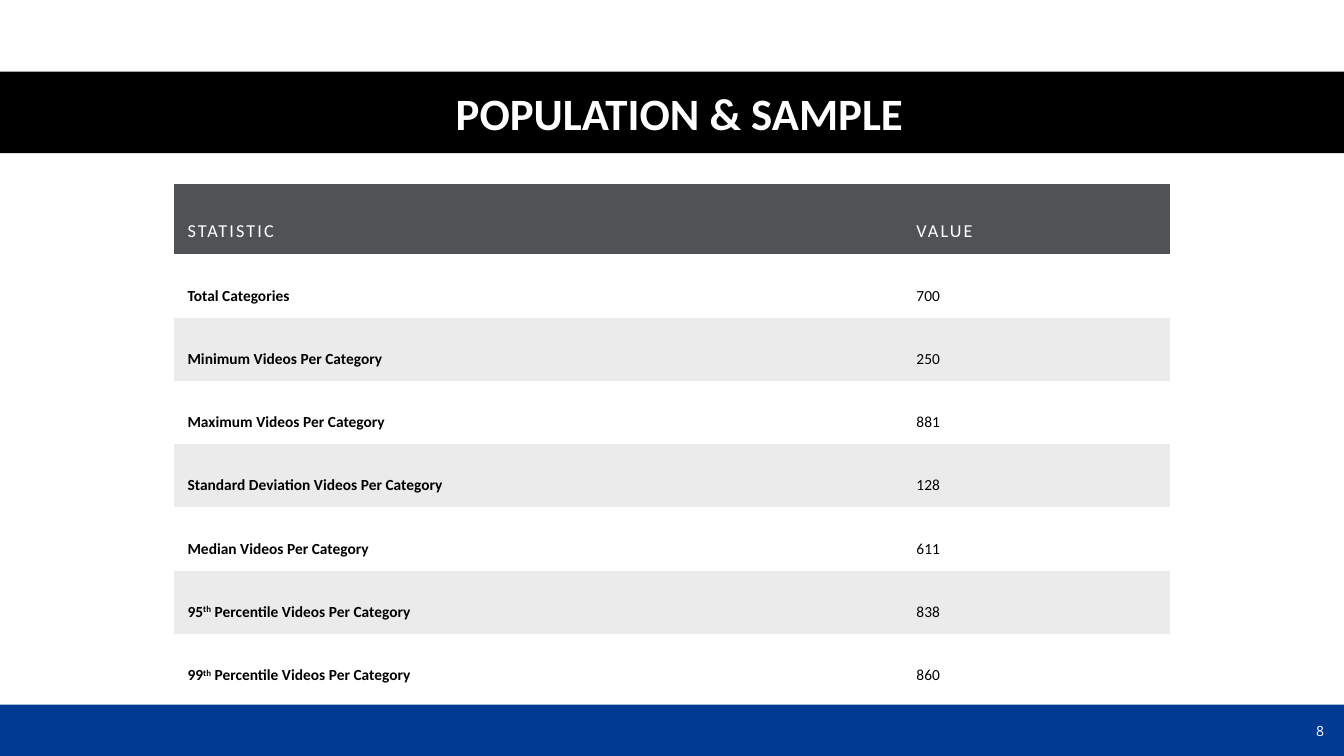
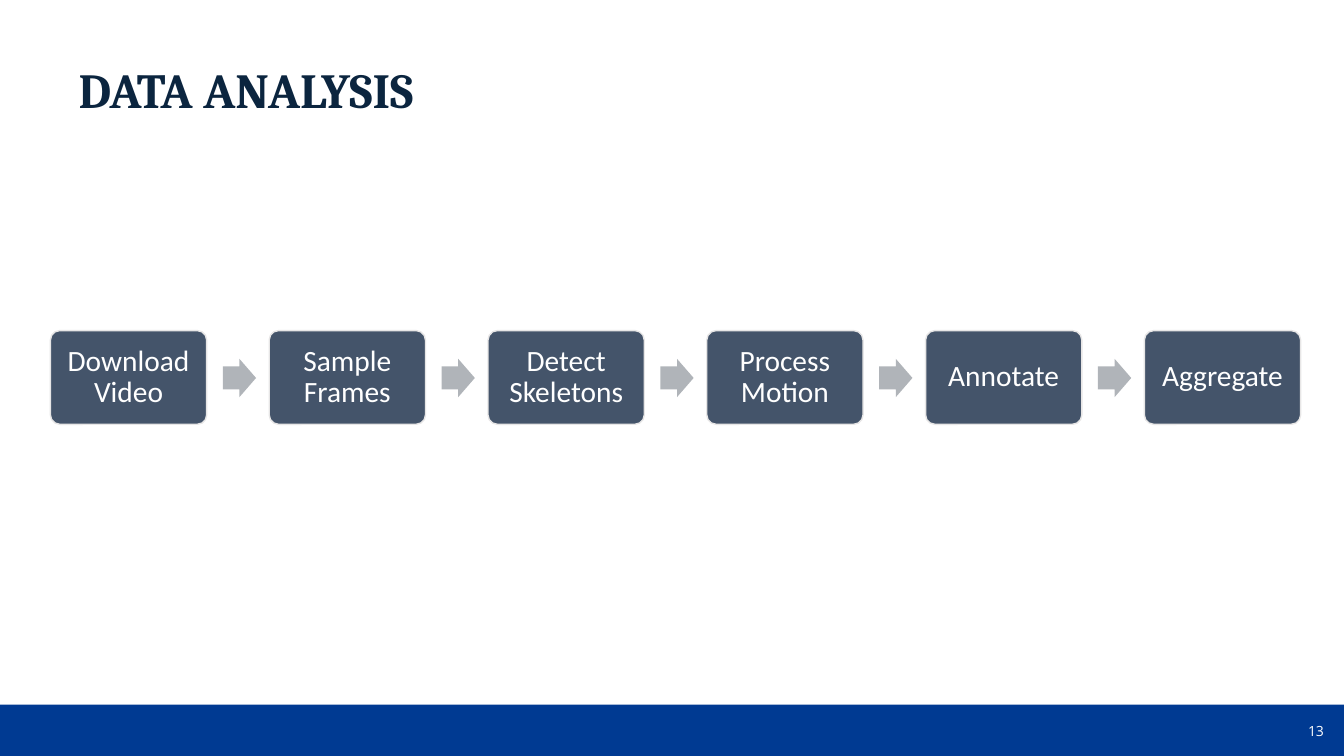
from dataclasses import dataclass

from pptx import Presentation
from pptx.dml.color import RGBColor
from pptx.enum.shapes import MSO_SHAPE
from pptx.enum.text import MSO_ANCHOR, MSO_AUTO_SIZE, PP_ALIGN
from pptx.oxml.ns import qn
from pptx.shapes.autoshape import Shape
from pptx.slide import Slide
from pptx.table import _Cell as Cell
from pptx.text.text import _Run as Run
from pptx.util import Inches, Pt

WHITE = RGBColor(0xFF, 0xFF, 0xFF)
BLACK = RGBColor(0x00, 0x00, 0x00)
FOOTER_BLUE = RGBColor(0x00, 0x3A, 0x92)
TITLE_NAVY = RGBColor(0x0B, 0x25, 0x3F)
HEADER_GRAY = RGBColor(0x50, 0x53, 0x56)
BAND_GRAY = RGBColor(0xEB, 0xEB, 0xEB)
STEP_SLATE = RGBColor(0x44, 0x54, 0x6A)
STEP_EDGE = RGBColor(0xE7, 0xE6, 0xE6)
ARROW_GRAY = RGBColor(0xB0, 0xB4, 0xB9)

BODY_FONT = "Calibri"
SERIF_FONT = "Cambria"
FOOTER_FONT = "Open Sans"

SLIDE_WIDTH, SLIDE_HEIGHT = 13.33, 7.5
TITLE_ONLY_LAYOUT = 5
NO_STYLE_NO_GRID = "{2D5ABB26-0587-4C30-8999-92F81FD0307C}"


@dataclass(frozen=True)
class Box:
    left: float
    top: float
    width: float
    height: float

    def lengths(self) -> tuple[Inches, Inches, Inches, Inches]:
        return Inches(self.left), Inches(self.top), Inches(self.width), Inches(self.height)


@dataclass(frozen=True)
class TitleStyle:
    box: Box
    font: str
    size: float
    color: RGBColor
    align: PP_ALIGN = PP_ALIGN.LEFT
    anchor: MSO_ANCHOR = MSO_ANCHOR.TOP
    band: RGBColor | None = None
    margin_left: float = 0.1
    margin_right: float = 0.1


@dataclass(frozen=True)
class Statistic:
    """A table row; percentile is the ordinal number set before the label."""
    label: str
    value: str
    percentile: str = ""


FOOTER_BOX = Box(0, 6.99, SLIDE_WIDTH, 0.51)
PAGE_NUMBER_BOX = Box(11.47, 7.12, 1.76, 0.28)

BANDED_TITLE = TitleStyle(
    Box(0, 0.71, SLIDE_WIDTH, 0.81), BODY_FONT, 32, WHITE, PP_ALIGN.CENTER,
    MSO_ANCHOR.MIDDLE, BLACK, margin_left=0.71, margin_right=0.56)
PLAIN_TITLE = TitleStyle(Box(0.68, 0.54, 12.21, 0.69), SERIF_FONT, 35, TITLE_NAVY)

TABLE_BOX = Box(1.73, 1.83, 9.87, 4.79)
COLUMN_WIDTHS = (7.23, 2.64)
HEADER_HEIGHT, ROW_HEIGHT = 0.66, 0.59
CELL_MARGIN = 0.13
HEADINGS = ("STATISTIC", "VALUE")
STATISTICS = (
    Statistic("Total Categories", "700"),
    Statistic("Minimum Videos Per Category", "250"),
    Statistic("Maximum Videos Per Category", "881"),
    Statistic("Standard Deviation Videos Per Category", "128"),
    Statistic("Median Videos Per Category", "611"),
    Statistic(" Percentile Videos Per Category", "838", "95"),
    Statistic(" Percentile Videos Per Category", "860", "99"),
)

STEPS = ("Download Video", "Sample Frames", "Detect Skeletons",
         "Process Motion", "Annotate", "Aggregate")
FIRST_STEP = Box(0.5, 3.28, 1.55, 0.93)
STEP_PITCH = 2.17
FIRST_ARROW = Box(2.21, 3.56, 0.33, 0.38)


def style_run(run: Run, font: str, size: float, color: RGBColor, bold: bool = False) -> None:
    run.font.name = font
    run.font.size = Pt(size)
    run.font.color.rgb = color
    run.font.bold = bold


def add_filled_shape(slide: Slide, preset: MSO_SHAPE, box: Box, color: RGBColor) -> Shape:
    shape = slide.shapes.add_shape(preset, *box.lengths())
    shape.shadow.inherit = False
    shape.fill.solid()
    shape.fill.fore_color.rgb = color
    shape.line.fill.background()
    return shape


def set_title(slide: Slide, text: str, style: TitleStyle) -> None:
    title = slide.shapes.title
    title.left, title.top, title.width, title.height = style.box.lengths()
    if style.band is not None:
        title.fill.solid()
        title.fill.fore_color.rgb = style.band
    frame = title.text_frame
    frame.text = text
    frame.word_wrap = True
    frame.auto_size = MSO_AUTO_SIZE.NONE
    frame.vertical_anchor = style.anchor
    frame.margin_left = Inches(style.margin_left)
    frame.margin_right = Inches(style.margin_right)
    paragraph = frame.paragraphs[0]
    paragraph.alignment = style.align
    style_run(paragraph.runs[0], style.font, style.size, style.color, bold=True)


def add_footer(slide: Slide, page: int) -> None:
    add_filled_shape(slide, MSO_SHAPE.RECTANGLE, FOOTER_BOX, FOOTER_BLUE)
    frame = slide.shapes.add_textbox(*PAGE_NUMBER_BOX.lengths()).text_frame
    frame.word_wrap = True
    frame.text = str(page)
    paragraph = frame.paragraphs[0]
    paragraph.alignment = PP_ALIGN.RIGHT
    style_run(paragraph.runs[0], FOOTER_FONT, 10, WHITE)


def add_titled_slide(deck: Presentation, title: str, style: TitleStyle, page: int) -> Slide:
    slide = deck.slides.add_slide(deck.slide_layouts[TITLE_ONLY_LAYOUT])
    set_title(slide, title, style)
    add_footer(slide, page)
    return slide


def format_cell(cell: Cell, fill: RGBColor | None) -> None:
    if fill is None:
        cell.fill.background()
    else:
        cell.fill.solid()
        cell.fill.fore_color.rgb = fill
    cell.margin_left = cell.margin_right = Inches(CELL_MARGIN)
    cell.margin_top = cell.margin_bottom = Inches(CELL_MARGIN)
    cell.text_frame.paragraphs[0].line_spacing = 2.0


def write_label(cell: Cell, statistic: Statistic) -> None:
    paragraph = cell.text_frame.paragraphs[0]
    ordinal = (statistic.percentile, "th") if statistic.percentile else ()
    for part in (*ordinal, statistic.label):
        run = paragraph.add_run()
        run.text = part
        style_run(run, BODY_FONT, 11, BLACK, bold=True)
        if part == "th":
            run.font._element.set("baseline", "30000")


def add_statistics_table(slide: Slide) -> None:
    frame = slide.shapes.add_table(
        len(STATISTICS) + 1, len(HEADINGS), *TABLE_BOX.lengths())
    table = frame.table
    table.horz_banding = False
    for style_id in frame.element.iter(qn("a:tableStyleId")):
        style_id.text = NO_STYLE_NO_GRID
    for column, width in zip(table.columns, COLUMN_WIDTHS):
        column.width = Inches(width)
    for index, row in enumerate(table.rows):
        row.height = Inches(ROW_HEIGHT if index else HEADER_HEIGHT)

    for column, heading in enumerate(HEADINGS):
        cell = table.cell(0, column)
        cell.text_frame.text = heading
        format_cell(cell, HEADER_GRAY)
        run = cell.text_frame.paragraphs[0].runs[0]
        style_run(run, BODY_FONT, 13, WHITE)
        run.font._element.set("spc", "150")

    for row, statistic in enumerate(STATISTICS, start=1):
        fill = BAND_GRAY if row % 2 == 0 else None
        label_cell, value_cell = table.cell(row, 0), table.cell(row, 1)
        write_label(label_cell, statistic)
        value_cell.text_frame.text = statistic.value
        style_run(value_cell.text_frame.paragraphs[0].runs[0], BODY_FONT, 11, BLACK)
        format_cell(label_cell, fill)
        format_cell(value_cell, fill)


def shifted(box: Box, steps: int) -> Box:
    return Box(box.left + steps * STEP_PITCH, box.top, box.width, box.height)


def add_step(slide: Slide, text: str, box: Box) -> None:
    step = add_filled_shape(slide, MSO_SHAPE.ROUNDED_RECTANGLE, box, STEP_SLATE)
    step.adjustments[0] = 0.1
    step.line.color.rgb = STEP_EDGE
    step.line.width = Pt(1)
    frame = step.text_frame
    frame.text = text
    frame.word_wrap = True
    frame.vertical_anchor = MSO_ANCHOR.MIDDLE
    frame.margin_left = frame.margin_right = Inches(0.09)
    frame.margin_top = frame.margin_bottom = Inches(0.09)
    paragraph = frame.paragraphs[0]
    paragraph.alignment = PP_ALIGN.CENTER
    paragraph.line_spacing = 0.9
    style_run(paragraph.runs[0], BODY_FONT, 21, WHITE)


def add_process(slide: Slide) -> None:
    for index, text in enumerate(STEPS):
        add_step(slide, text, shifted(FIRST_STEP, index))
        if index < len(STEPS) - 1:
            arrow = add_filled_shape(
                slide, MSO_SHAPE.RIGHT_ARROW, shifted(FIRST_ARROW, index), ARROW_GRAY)
            arrow.adjustments[0] = 0.6
            arrow.adjustments[1] = 0.5


def main() -> None:
    deck = Presentation()
    deck.slide_width = Inches(SLIDE_WIDTH)
    deck.slide_height = Inches(SLIDE_HEIGHT)
    add_statistics_table(add_titled_slide(deck, "POPULATION & SAMPLE", BANDED_TITLE, 8))
    add_process(add_titled_slide(deck, "DATA ANALYSIS", PLAIN_TITLE, 13))
    deck.save("out.pptx")


if __name__ == "__main__":
    main()
